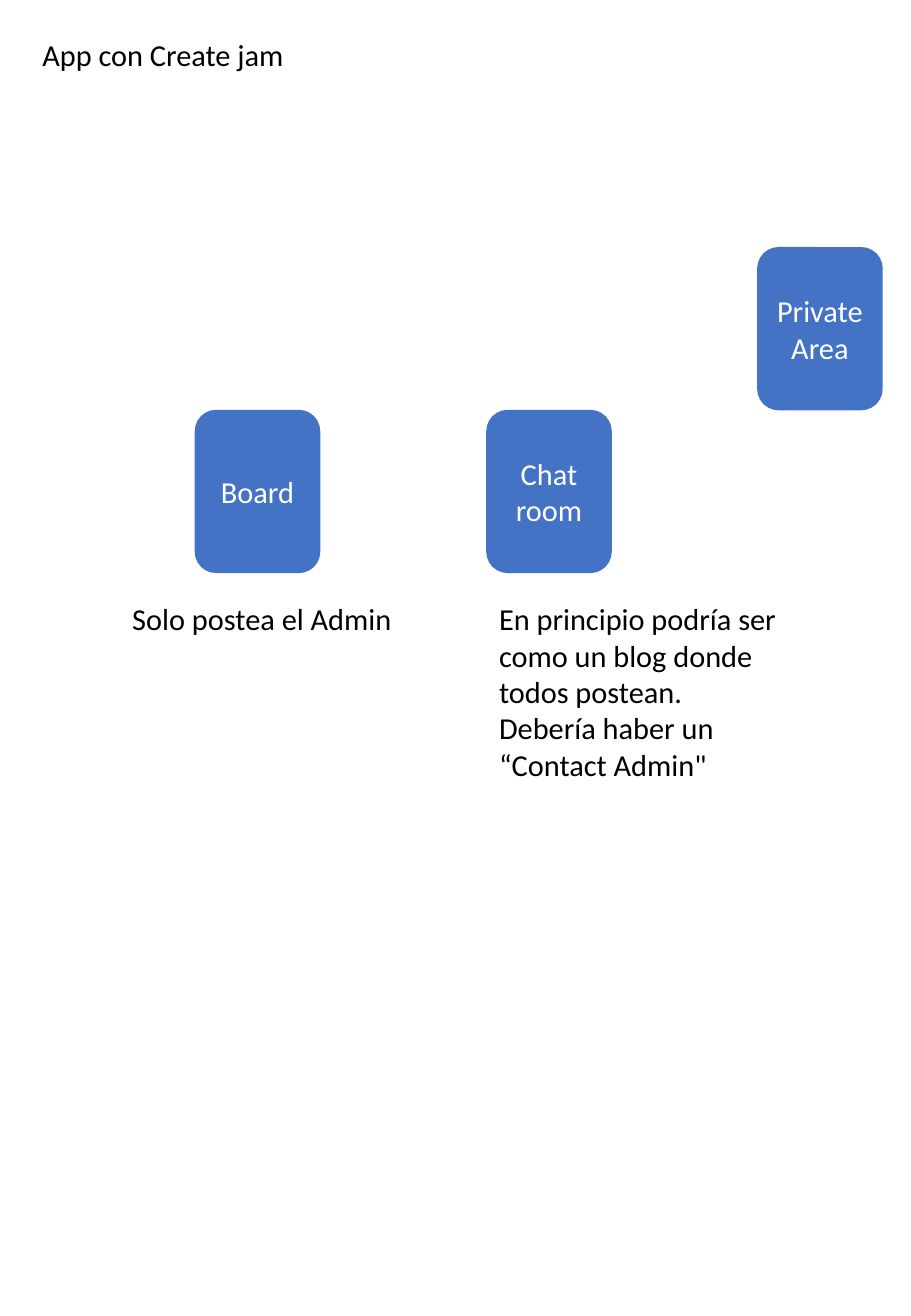
from dataclasses import dataclass

from pptx import Presentation
from pptx.dml.color import RGBColor
from pptx.enum.shapes import MSO_SHAPE
from pptx.enum.text import MSO_ANCHOR, MSO_AUTO_SIZE, PP_ALIGN
from pptx.util import Inches, Pt

ROUNDED = MSO_SHAPE.ROUNDED_RECTANGLE
MIDDLE, TOP = MSO_ANCHOR.MIDDLE, MSO_ANCHOR.TOP
CENTER, LEFT = PP_ALIGN.CENTER, PP_ALIGN.LEFT
GROW = MSO_AUTO_SIZE.SHAPE_TO_FIT_TEXT

BLUE = RGBColor(0x44, 0x72, 0xC4)
WHITE = RGBColor(0xFF, 0xFF, 0xFF)
BLACK = RGBColor(0x00, 0x00, 0x00)

FONT = {"name": "Calibri", "size": Pt(18)}
BOX_W, BOX_H = 1.02, 1.33
BOX_TOP, NOTE_TOP = 3.38, 4.89
CHAT_LEFT = 4.01
NOTE_W = 2.79


@dataclass
class Box:
    label: str
    left: float
    top: float


@dataclass
class Note:
    lines: list[str]
    left: float
    top: float
    width: float
    height: float


BOXES = [
    Box("Board", 1.61, BOX_TOP),
    Box("Private Area", 6.24, 2.04),
    Box("Chat room", CHAT_LEFT, BOX_TOP),
]
NOTES = [
    Note(["App con Create jam"], 0.25, 0.25, 3.79, 0.4),
    Note(["En principio podría ser como un blog donde todos postean. ",
          "Debería haber un “Contact Admin\""], CHAT_LEFT, NOTE_TOP, NOTE_W, 1.62),
    Note(["Solo postea el Admin"], 0.99, NOTE_TOP, NOTE_W, 0.4),
]


def write(tf, lines: list[str], color: RGBColor, align, anchor) -> None:
    tf.word_wrap = True
    tf.vertical_anchor = anchor
    for i, line in enumerate(lines):
        p = tf.add_paragraph() if i else tf.paragraphs[0]
        p.alignment = align
        r = p.add_run()
        r.text = line
        for name, value in FONT.items():
            setattr(r.font, name, value)
        r.font.color.rgb = color


def draw_box(s, box: Box) -> None:
    sp = s.shapes.add_shape(ROUNDED, Inches(box.left), Inches(box.top),
                            Inches(BOX_W), Inches(BOX_H))
    sp.shadow.inherit = False
    sp.fill.solid()
    sp.fill.fore_color.rgb = BLUE
    sp.line.color.rgb = BLUE
    sp.line.width = Pt(1)
    write(sp.text_frame, [box.label], WHITE, CENTER, MIDDLE)


def draw_note(s, note: Note) -> None:
    sp = s.shapes.add_textbox(Inches(note.left), Inches(note.top),
                              Inches(note.width), Inches(note.height))
    write(sp.text_frame, note.lines, BLACK, LEFT, TOP)
    sp.text_frame.auto_size = GROW


prs = Presentation()
prs.slide_width, prs.slide_height = Inches(7.5), Inches(10.83)
s = prs.slides.add_slide(prs.slide_layouts[6])

# App sections
for box in BOXES:
    draw_box(s, box)

# Title and section notes
for note in NOTES:
    draw_note(s, note)

prs.save("out.pptx")
